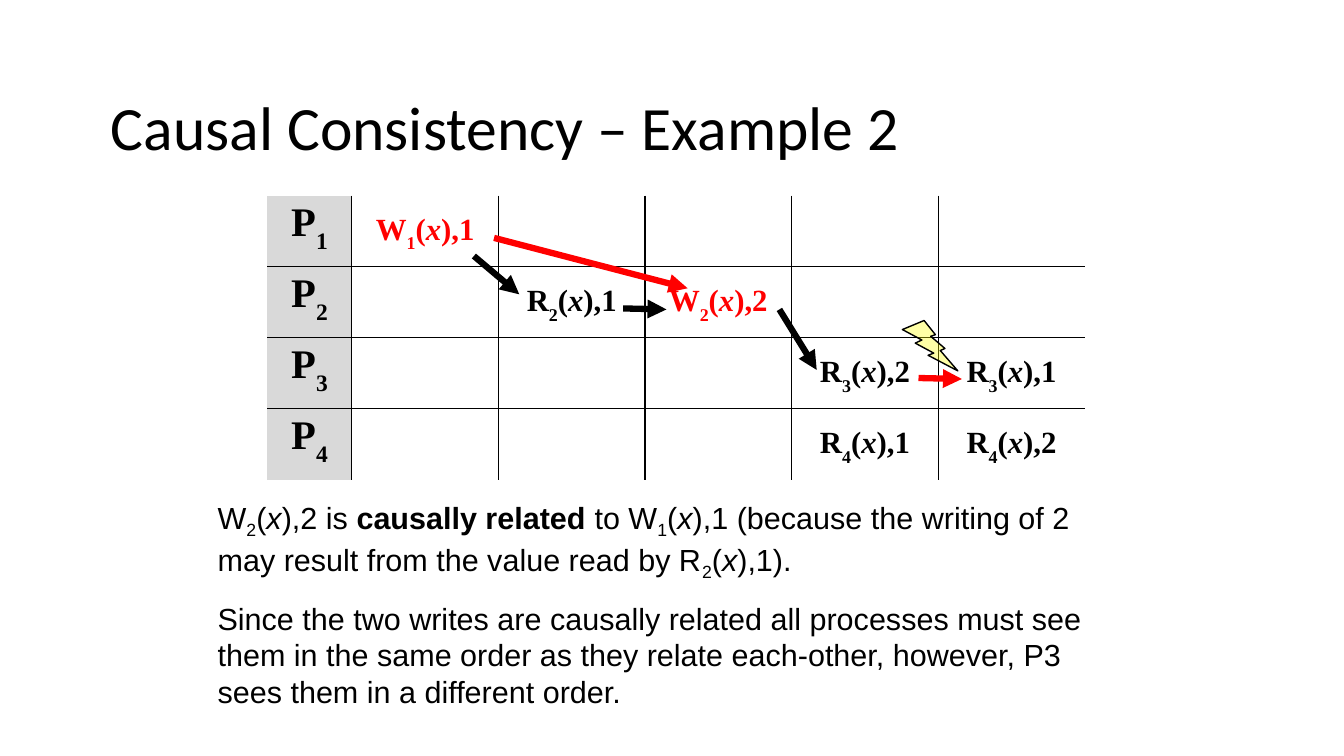
from lxml import etree
from pptx import Presentation
from pptx import util as u
from pptx.dml.color import RGBColor
from pptx.enum import shapes, text
from pptx.oxml import ns

COLORS = {"black": "000000", "red": "FF0000", "yellow": "FFFF00", "gray": "D9D9D9"}
NO_TABLE_STYLE = "{2D5ABB26-0587-4C30-8999-92F81FD0307C}"

PROCESSES = 4
STEPS = 5
# (process, step): operation, colour; _ marks subscript, / italic, * bold
OPERATIONS = {
    (1, 1): ("W_1_(/x/),1", "red"),
    (2, 2): ("R_2_(/x/),1", "black"),
    (2, 3): ("W_2_(/x/),2", "red"),
    (3, 4): ("R_3_(/x/),2", "black"),
    (3, 5): ("R_3_(/x/),1", "black"),
    (4, 4): ("R_4_(/x/),1", "black"),
    (4, 5): ("R_4_(/x/),2", "black"),
}
CAUSAL_ARROWS = [
    ((4.7, 2.54), (5.15, 2.92), "black"),
    ((6.18, 3.06), (6.61, 3.07), "black"),
    ((7.73, 3.07), (8.1, 3.67), "black"),
    ((4.9, 2.36), (6.82, 2.86), "red"),
]
CONFLICT_ARROW = ((9.11, 3.75), (9.54, 3.76), "red")
VERDICT = (
    "Since the two writes are causally related all processes must see them in the "
    "same order as they relate each-other, however, P3 sees them in a different order."
)
REASON = (
    "W_2_(/x/),2 is *causally related *to W_1_(/x/),1 (because the writing of 2 "
    "may result from the value read by R_2_(/x/),1)."
)


def rgb(color):
    return RGBColor.from_string(COLORS[color])


def inches(*lengths):
    return [u.Inches(length) for length in lengths]


class SlideBuilder:
    title_font = "Calibri"
    note_font = "Arial"
    table_font = "Times New Roman"

    def __init__(self, slide):
        self.slide = slide

    def style_font(self, font, name, size, color="black"):
        font.name = name
        font.size = u.Pt(size)
        font.color.rgb = rgb(color)

    def add_runs(self, paragraph, marked, name, size, color="black", bold=False, drop=-30):
        """Add marked text as runs; each mark switches its format on or off."""
        active = {"_": False, "/": False, "*": bold}
        pieces = [""]
        for character in marked:
            if character in active:
                pieces += [character, ""]
            else:
                pieces[-1] += character
        for piece in pieces:
            if piece in active:
                active[piece] = not active[piece]
            elif piece:
                run = paragraph.add_run()
                run.text = piece
                self.style_font(run.font, name, size, color)
                run.font.bold = active["*"]
                run.font.italic = active["/"]
                if active["_"]:
                    run.font._element.set("baseline", str(drop * 1000))

    def title(self, words, box):
        shape = self.slide.shapes.title
        shape.left, shape.top, shape.width, shape.height = inches(*box)
        frame = shape.text_frame
        frame.text = words
        frame.vertical_anchor = text.MSO_ANCHOR.MIDDLE
        paragraph = frame.paragraphs[0]
        paragraph.alignment = text.PP_ALIGN.LEFT
        paragraph.line_spacing = 0.9
        self.style_font(paragraph.runs[0].font, self.title_font, 44)

    def note(self, marked, box):
        frame = self.slide.shapes.add_textbox(*inches(*box)).text_frame
        frame.word_wrap = True
        frame.auto_size = text.MSO_AUTO_SIZE.SHAPE_TO_FIT_TEXT
        self.add_runs(frame.paragraphs[0], marked, self.note_font, 21.8, drop=-25)

    def borders(self, cell, sides):
        properties = cell._tc.get_or_add_tcPr()
        for position, side in enumerate(sides):
            line = etree.Element(ns.qn(f"a:ln{side}"), w=str(u.Pt(1)))
            fill = etree.SubElement(line, ns.qn("a:solidFill"))
            etree.SubElement(fill, ns.qn("a:srgbClr"), val=COLORS["black"])
            properties.insert(position, line)

    def timeline(self, box, label_width):
        rows, columns = PROCESSES, STEPS + 1
        frame = self.slide.shapes.add_table(rows, columns, *inches(*box))
        table = frame.table
        table.first_row = table.horz_banding = False
        table._tbl.tblPr.find(ns.qn("a:tableStyleId")).text = NO_TABLE_STYLE
        for index, column in enumerate(table.columns):
            column.width = u.Inches((box[2] - label_width) / STEPS if index else label_width)
        for row in range(rows):
            for column in range(columns):
                cell = table.cell(row, column)
                cell.margin_top, cell.margin_bottom = inches(0.05, 0)
                paragraph = cell.text_frame.paragraphs[0]
                paragraph.alignment = text.PP_ALIGN.CENTER
                if column == 0:
                    cell.fill.solid()
                    cell.fill.fore_color.rgb = rgb("gray")
                    self.add_runs(paragraph, f"P_{row + 1}_", self.table_font, 29, bold=True)
                else:
                    cell.fill.background()
                    cell.vertical_anchor = text.MSO_ANCHOR.MIDDLE
                    marked, color = OPERATIONS.get((row + 1, column), ("", "black"))
                    self.add_runs(paragraph, marked, self.table_font, 22, color, bold=True)
                # Only the inner grid is ruled
                inner = {"L": column > 0, "R": column < columns - 1,
                         "T": row > 0, "B": row < rows - 1}
                self.borders(cell, [side for side, ruled in inner.items() if ruled])

    def arrow(self, start, end, color):
        connector = self.slide.shapes.add_connector(
            shapes.MSO_CONNECTOR.STRAIGHT, *inches(*start, *end))
        connector.line.width = u.Pt(4.5)
        connector.line.color.rgb = rgb(color)
        etree.SubElement(connector.line._get_or_add_ln(), ns.qn("a:tailEnd"), type="triangle")
        etree.SubElement(connector._element.spPr, ns.qn("a:effectLst"))

    def bolt(self, box):
        shape = self.slide.shapes.add_shape(
            shapes.MSO_SHAPE.LIGHTNING_BOLT, *inches(*box))
        shape.shadow.inherit = False
        shape.fill.solid()
        shape.fill.fore_color.rgb = rgb("yellow")
        color = shape._element.spPr.find(".//" + ns.qn("a:srgbClr"))
        etree.SubElement(color, ns.qn("a:alpha"), val="35000")
        shape.line.color.rgb = rgb("black")
        shape.line.width = u.Pt(1)


def main():
    presentation = Presentation()
    presentation.slide_width, presentation.slide_height = inches(13.33, 7.5)
    builder = SlideBuilder(presentation.slides.add_slide(presentation.slide_layouts[5]))

    # Title and table of operations over time
    builder.title("Causal Consistency – Example 2", (1, 0.67, 11.33, 1.25))
    builder.timeline((2.65, 1.94, 8.11, 2.82), label_width=0.84)

    # Causal order between operations
    for start, end, color in CAUSAL_ARROWS:
        builder.arrow(start, end, color)

    # Explanation
    builder.note(VERDICT, (2.06, 5.9, 8.92, 1.2))
    builder.note(REASON, (2.06, 4.9, 8.92, 0.83))

    # Conflicting reads
    builder.arrow(*CONFLICT_ARROW)
    builder.bolt((8.95, 3.18, 0.55, 0.5))

    presentation.save("out.pptx")


if __name__ == "__main__":
    main()
